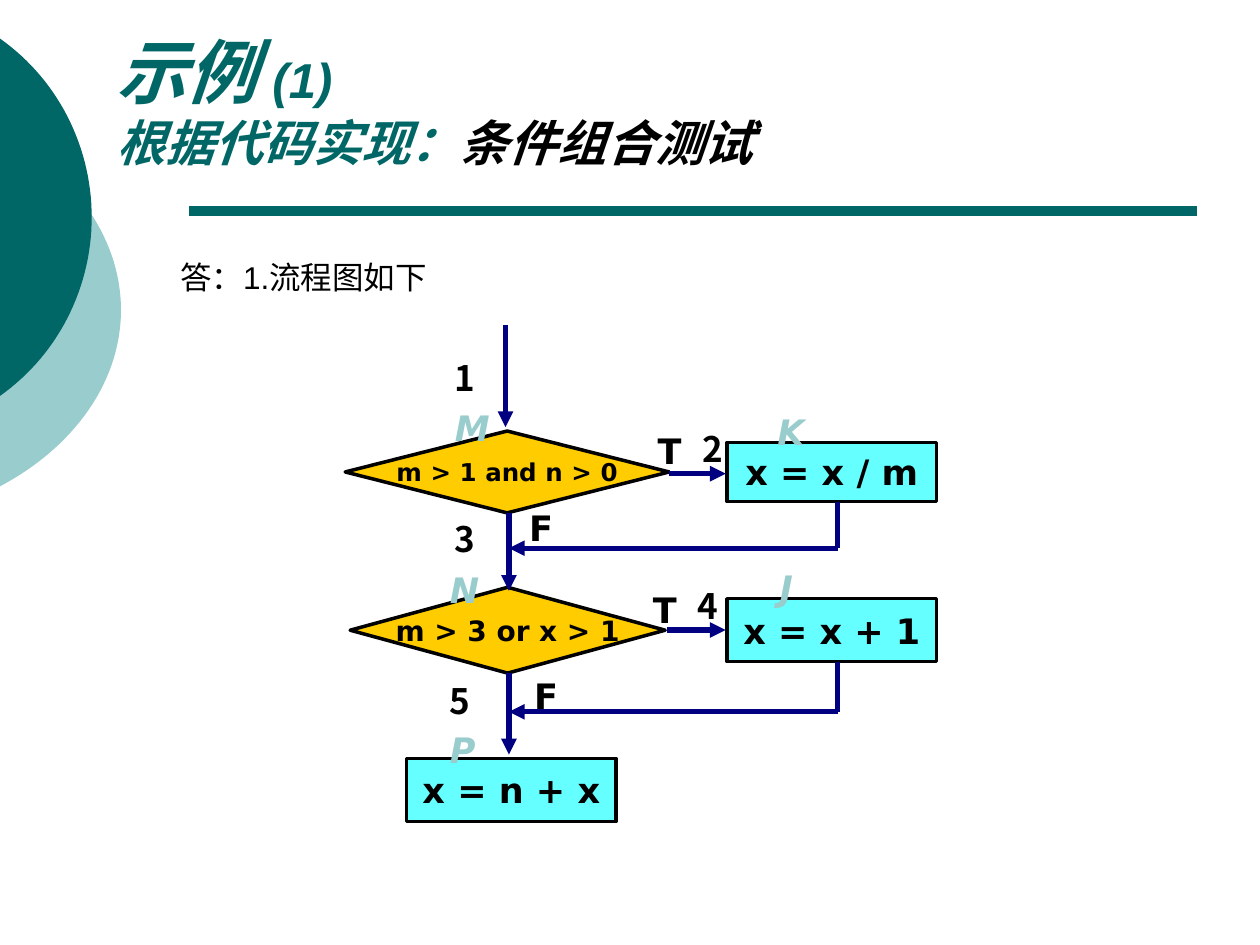
import math

import pptx
import pptx.dml.color
import pptx.enum.shapes
import pptx.enum.text
import pptx.oxml
import pptx.util
from pptx.oxml.ns import qn

Cm = pptx.util.Cm
Pt = pptx.util.Pt
RGBColor = pptx.dml.color.RGBColor
Shape = pptx.enum.shapes.MSO_SHAPE
Align = pptx.enum.text.PP_ALIGN
Anchor = pptx.enum.text.MSO_ANCHOR

TEAL = RGBColor(0x00, 0x66, 0x66)
PALE_TEAL = RGBColor(0x99, 0xCC, 0xCC)
AMBER = RGBColor(0xFF, 0xCC, 0x00)
CYAN = RGBColor(0x66, 0xFF, 0xFF)
NAVY = RGBColor(0x00, 0x00, 0x80)
BLACK = RGBColor(0x00, 0x00, 0x00)

LATIN, CODE, CJK = "Arial", "DejaVu Sans", "Noto Sans CJK SC"

TITLE_LINES = [
    [("示例 ", 40, TEAL), ("(1)", 28, TEAL)],
    [("根据代码实现：", 28, TEAL), ("条件组合测试", 28, BLACK)],
]
ANSWER = "答：1.流程图如下"

# center x, center y, radius x, radius y
DISCS = [
    (-3.28, 6.25, 5.72, 4.34, PALE_TEAL),
    (-2.44, 4.38, 4.29, 4.38, TEAL),
]
DECISIONS = [
    ("m > 1 and n > 0", 14, 6.96, 8.69, 6.53, 1.65),
    ("m > 3 or x > 1", 16, 7.06, 11.84, 6.35, 1.73),
]
PROCESSES = [
    ("x = x / m", 20, 14.66, 8.92, 4.22, 1.19),
    ("x = x + 1", 20, 14.66, 12.07, 4.22, 1.27),
    ("x = n + x", 20, 8.2, 15.29, 4.22, 1.27),
]

MAIN_X, RETURN_X, BRANCH_END = 10.26, 16.89, 14.63
FLOWS = [
    (10.19, 6.55, 10.19, 8.61),
    (MAIN_X, 10.34, MAIN_X, 11.91),
    (MAIN_X, 13.56, MAIN_X, 15.21),
    (13.49, 9.55, BRANCH_END, 9.55),
    (13.44, 12.7, BRANCH_END, 12.7),
]
RETURNS = [(10.11, 11.05), (13.34, 14.35)]

OUTCOMES = [("T", 13.26, 8.66), ("T", 13.16, 11.86), ("F", 10.67, 10.21), ("F", 10.77, 13.59)]
NODE_NAMES = [("M", 9.17, 8.2), ("N", 9.07, 11.46), ("K", 15.67, 8.28), ("J", 15.72, 11.43), ("P", 9.07, 14.68)]
EDGE_NUMBERS = [("1", 9.17, 7.19), ("2", 14.17, 8.61), ("3", 9.17, 10.44), ("4", 14.07, 11.79), ("5", 9.07, 13.69)]


def add_run(paragraph, text, size, color, font, bold=True, italic=False):
    run = paragraph.add_run()
    run.text = text
    run.font.name = font
    run.font.size = Pt(size)
    run.font.bold = bold
    run.font.italic = italic
    run.font.color.rgb = color
    east_asian = pptx.oxml.parse_xml(
        '<a:ea xmlns:a="http://schemas.openxmlformats.org/drawingml/2006/main" '
        f'typeface="{CJK}"/>'
    )
    run.font._element.find(qn("a:latin")).addnext(east_asian)


def clear_margins(frame):
    frame.margin_left = frame.margin_right = 0
    frame.margin_top = frame.margin_bottom = 0


def add_disc(shapes, center_x, center_y, radius_x, radius_y, color):
    limit = math.acos(-center_x / radius_x)
    steps = 60
    angles = [limit * (2 * i / steps - 1) for i in range(steps + 1)]
    points = [
        (Cm(center_x + radius_x * math.cos(a)), Cm(center_y + radius_y * math.sin(a)))
        for a in angles
    ]
    builder = shapes.build_freeform(*points[0])
    builder.add_line_segments(points[1:], close=True)
    disc = builder.convert_to_shape()
    disc.shadow.inherit = False
    disc.fill.solid()
    disc.fill.fore_color.rgb = color
    disc.line.fill.background()


def add_line(shapes, x1, y1, x2, y2, color=NAVY, width=3, arrow=True):
    line = shapes.add_connector(
        pptx.enum.shapes.MSO_CONNECTOR.STRAIGHT, Cm(x1), Cm(y1), Cm(x2), Cm(y2)
    )
    line.line.color.rgb = color
    line.line.width = Pt(width)
    if arrow:
        head = line.line._get_or_add_ln().makeelement(qn("a:tailEnd"), {"type": "triangle"})
        line.line._get_or_add_ln().append(head)
    properties = line._element.spPr
    properties.append(properties.makeelement(qn("a:effectLst"), {}))


def add_node(shapes, kind, color, text, size, *box):
    node = shapes.add_shape(kind, *map(Cm, box))
    node.shadow.inherit = False
    node.fill.solid()
    node.fill.fore_color.rgb = color
    node.line.color.rgb = BLACK
    node.line.width = Pt(2)
    frame = node.text_frame
    clear_margins(frame)
    frame.word_wrap = False
    frame.vertical_anchor = Anchor.MIDDLE
    frame.paragraphs[0].alignment = Align.CENTER
    add_run(frame.paragraphs[0], text, size, BLACK, CODE)


def add_label(shapes, text, x, y, width, color=BLACK, font=CODE, italic=False):
    frame = shapes.add_textbox(Cm(x), Cm(y), Cm(width), Cm(0.81)).text_frame
    clear_margins(frame)
    frame.word_wrap = not italic
    add_run(frame.paragraphs[0], text, 20, color, font, italic=italic)


def main():
    deck = pptx.Presentation()
    deck.slide_width, deck.slide_height = Cm(25.4), Cm(19.05)
    slide = deck.slides.add_slide(deck.slide_layouts[5])
    shapes = slide.shapes

    for disc in DISCS:
        add_disc(shapes, *disc)
    add_line(shapes, 3.81, 4.25, 24.13, 4.25, TEAL, 6, arrow=False)

    title = shapes.title
    title.left, title.top, title.width, title.height = map(Cm, (2.1, 0.43, 21.6, 3.18))
    title.text_frame.auto_size = pptx.enum.text.MSO_AUTO_SIZE.NONE
    title.text_frame.vertical_anchor = Anchor.MIDDLE
    heading = title.text_frame.paragraphs[0]
    heading.alignment = Align.LEFT
    for index, line in enumerate(TITLE_LINES):
        if index:
            heading.add_line_break()
        for text, size, color in line:
            add_run(heading, text, size, color, LATIN, italic=True)

    for decision in DECISIONS:
        add_node(shapes, Shape.FLOWCHART_DECISION, AMBER, *decision)
    for process in PROCESSES:
        add_node(shapes, Shape.FLOWCHART_PROCESS, CYAN, *process)
    for flow in FLOWS:
        add_line(shapes, *flow)
    for start_y, end_y in RETURNS:
        add_line(shapes, RETURN_X, start_y, RETURN_X, end_y, arrow=False)
        add_line(shapes, RETURN_X, end_y, MAIN_X, end_y)

    for outcome in OUTCOMES:
        add_label(shapes, *outcome, 2.41)
    for name in NODE_NAMES:
        add_label(shapes, *name, 0.5, PALE_TEAL, italic=True)
    for number in EDGE_NUMBERS:
        add_label(shapes, *number, 2.69, font=CJK)

    answer = shapes.add_textbox(Cm(3.38), Cm(5.08), Cm(11.28), Cm(1.02)).text_frame
    answer.word_wrap = True
    add_run(answer.paragraphs[0], ANSWER, 18, BLACK, LATIN, bold=False)

    deck.save("out.pptx")


if __name__ == "__main__":
    main()
